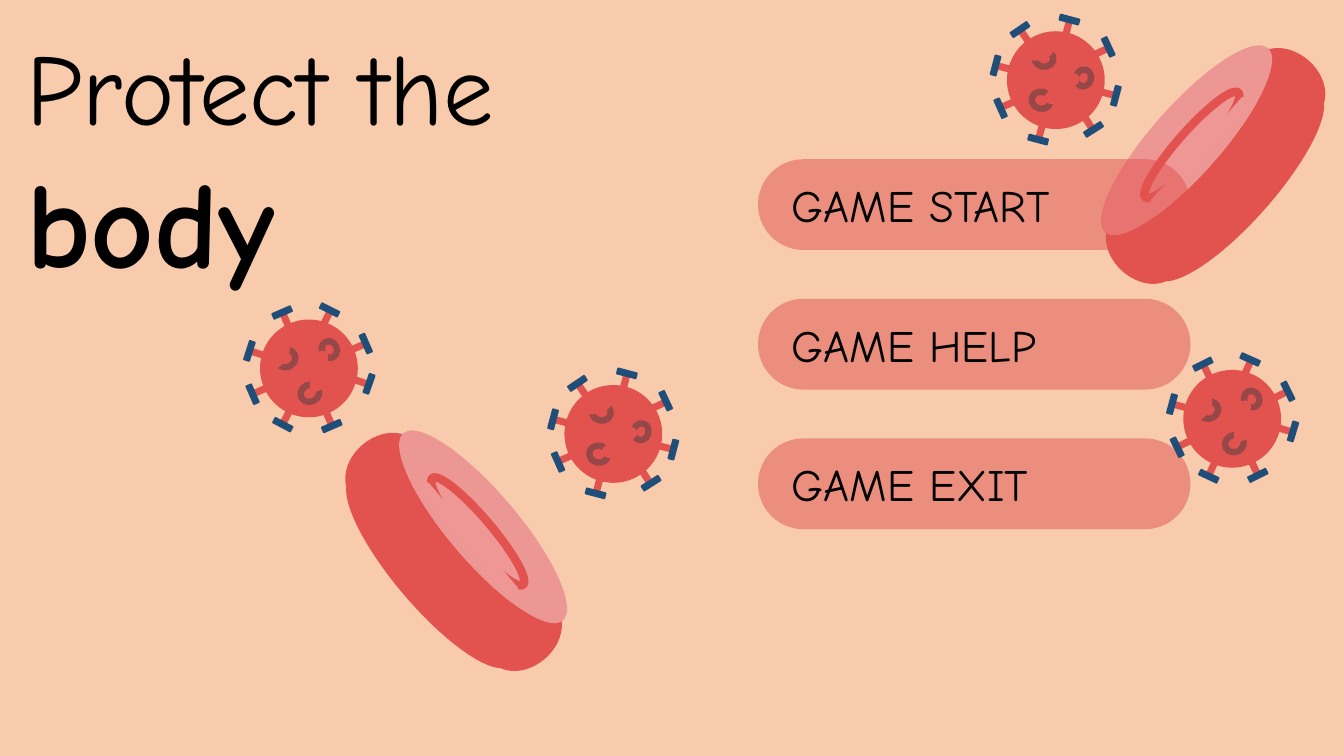
from dataclasses import dataclass
from math import cos, radians, sin

from lxml import etree
from pptx import Presentation
from pptx.dml.color import RGBColor
from pptx.enum.shapes import MSO_SHAPE
from pptx.enum.text import MSO_ANCHOR, MSO_AUTO_SIZE, PP_ALIGN
from pptx.oxml.ns import qn
from pptx.util import Emu, Pt

OVAL = MSO_SHAPE.OVAL
ROUNDED = MSO_SHAPE.ROUNDED_RECTANGLE
CAN = MSO_SHAPE.CAN
TOP, MIDDLE = MSO_ANCHOR.TOP, MSO_ANCHOR.MIDDLE
LEFT = PP_ALIGN.LEFT
NO_AUTOFIT = MSO_AUTO_SIZE.NONE

COLUMNS, ROWS = 160, 90
GRID = 76200


@dataclass(frozen=True)
class Theme:
    skin: str = "F8CBAD"
    blood: str = "E2524E"
    lid: str = "EE9795"
    cap: str = "1F4E79"
    spot: str = "964848"
    ink: str = "000000"
    font: str = "Comic Neue"
    title_size: int = 72
    emphasis_size: int = 88
    menu_size: int = 32
    ring_width: float = 6
    spot_width: float = 4.5
    hairline: float = 1


@dataclass(frozen=True)
class Box:
    left: float
    top: float
    width: float
    height: float

    def center(self):
        return self.left + self.width / 2, self.top + self.height / 2

    def emu(self):
        return [grid(v) for v in (self.left, self.top, self.width, self.height)]


THEME = Theme()

SPIKES = [(310, 311.3), (269, 270), (228.5, 231.4), (90, 90),
          (358, 0), (182, 180), (128, 132.9), (43, 50.3)]
SPOTS = [(-2.04, -2.16, 2.28), (-1.08, 2.76, 2.28), (3.12, -1.08, 1.8)]
SPOT_GAPS = [(-2.88, -2.76), (0.96, -0.12), (0.96, 1.68)]

VIRUS_SIZE = 11.64
VIRUSES = [(119.88, 3.72, 14.6), (140.88, 44.04, -26.3),
           (30.96, 38.04, -23.6), (67.2, 45.84, 14.6)]
CELL_SIZE = (29.28, 16.56)
CELLS = [(129.72, 11.16, -48.5), (39.72, 57.12, 49.6)]
TITLE_BOX = Box(1.92, 2.28, 67.56, 33.48)
MENU_BOX = Box(90.24, 18.96, 51.48, 44.04)
MENU_ENTRIES = ["GAME START", "GAME HELP", "GAME EXIT"]


def grid(units):
    return Emu(round(units * GRID))


def color(code):
    return RGBColor.from_string(code)


def add_outline(shapes, preset, box, fill, edge=None, weight=0):
    shape = shapes.add_shape(preset, *box.emu())
    shape.shadow.inherit = False
    shape.fill.solid()
    shape.fill.fore_color.rgb = color(fill)
    if edge:
        shape.line.color.rgb = color(edge)
        shape.line.width = Pt(weight)
    else:
        shape.line.fill.background()
    return shape


def part_placer(shapes, box, turn):
    group = shapes.add_group_shape()
    middle_x, middle_y = box.center()
    c, s = cos(radians(turn)), sin(radians(turn))

    def place(preset, x, y, width, height, fill, tilt=0, edge=None, weight=0):
        part_box = Box(middle_x + x * c - y * s - width / 2,
                       middle_y + x * s + y * c - height / 2, width, height)
        part = add_outline(group.shapes, preset, part_box, fill, edge, weight)
        part.rotation = (turn + tilt) % 360
        return part

    return place


def add_text_run(paragraph, text, size, bold=False):
    run = paragraph.add_run()
    run.text = text
    run.font.name = THEME.font
    run.font.size = Pt(size)
    run.font.bold = bold
    run.font.color.rgb = color(THEME.ink)


def draw_virus(shapes, box, turn):
    place = part_placer(shapes, box, turn)
    place(OVAL, 0, 0, box.width, box.height, THEME.blood)
    for bearing, tilt in SPIKES:
        across, up = sin(radians(bearing)), -cos(radians(bearing))
        place(ROUNDED, 6.24 * across, 6.24 * up, 0.84, 1.8, THEME.blood, tilt)
        place(ROUNDED, 7.38 * across, 7.38 * up, 0.84, 2.52, THEME.cap, tilt + 90)
    for x, y, width in SPOTS:
        place(OVAL, x, y, width, 2.04, THEME.blood,
              edge=THEME.spot, weight=THEME.spot_width)
    for x, y in SPOT_GAPS:
        place(OVAL, x, y, 3.84, 2.04, THEME.blood, tilt=-26.1)


def draw_blood_cell(shapes, box, turn):
    place = part_placer(shapes, box, turn)
    for side in (1, -1):
        place(OVAL, side * 12.9, 0.48, 7.68, 9.96, THEME.blood)
    disc = place(CAN, 0, 0, box.width, box.height, THEME.blood)
    disc.adjustments[0] = 0.5
    place(OVAL, 0, -3.3, 16.68, 3.24, THEME.lid,
          edge=THEME.blood, weight=THEME.ring_width)
    place(ROUNDED, 0, -1.8, 16.68, 1.44, THEME.lid,
          edge=THEME.lid, weight=THEME.hairline)


def draw_menu(shapes, box, entries):
    button_height = 10.8
    step = (box.height - button_height) / (len(entries) - 1)
    for row, entry in enumerate(entries):
        button_box = Box(box.left, box.top + row * step, box.width, button_height)
        button = add_outline(shapes, ROUNDED, button_box, THEME.blood)
        button.adjustments[0] = 0.5
        tint = button.fill._xPr.find(qn("a:solidFill"))[0]
        etree.SubElement(tint, qn("a:alpha")).set("val", "50000")
        frame = button.text_frame
        frame.word_wrap = True
        frame.vertical_anchor = MIDDLE
        frame.margin_left = grid(4) - grid(button_height * 0.5 * 0.29)
        frame.paragraphs[0].alignment = LEFT
        add_text_run(frame.paragraphs[0], entry, THEME.menu_size)


def draw_title(title, box):
    title.left, title.top, title.width, title.height = box.emu()
    frame = title.text_frame
    frame.word_wrap = True
    frame.auto_size = NO_AUTOFIT
    frame.vertical_anchor = TOP
    heading = frame.paragraphs[0]
    heading.alignment = LEFT
    add_text_run(heading, "Protect the ", THEME.title_size)
    add_text_run(heading, "body", THEME.emphasis_size, bold=True)


def build_start_screen(deck):
    slide = deck.slides.add_slide(deck.slide_layouts[5])
    slide.background.fill.solid()
    slide.background.fill.fore_color.rgb = color(THEME.skin)
    draw_title(slide.shapes.title, TITLE_BOX)
    for left, top, turn in CELLS:
        draw_blood_cell(slide.shapes, Box(left, top, *CELL_SIZE), turn)
    draw_menu(slide.shapes, MENU_BOX, MENU_ENTRIES)
    for left, top, turn in VIRUSES:
        draw_virus(slide.shapes, Box(left, top, VIRUS_SIZE, VIRUS_SIZE), turn)


deck = Presentation()
deck.slide_width, deck.slide_height = grid(COLUMNS), grid(ROWS)
build_start_screen(deck)
deck.save("out.pptx")
